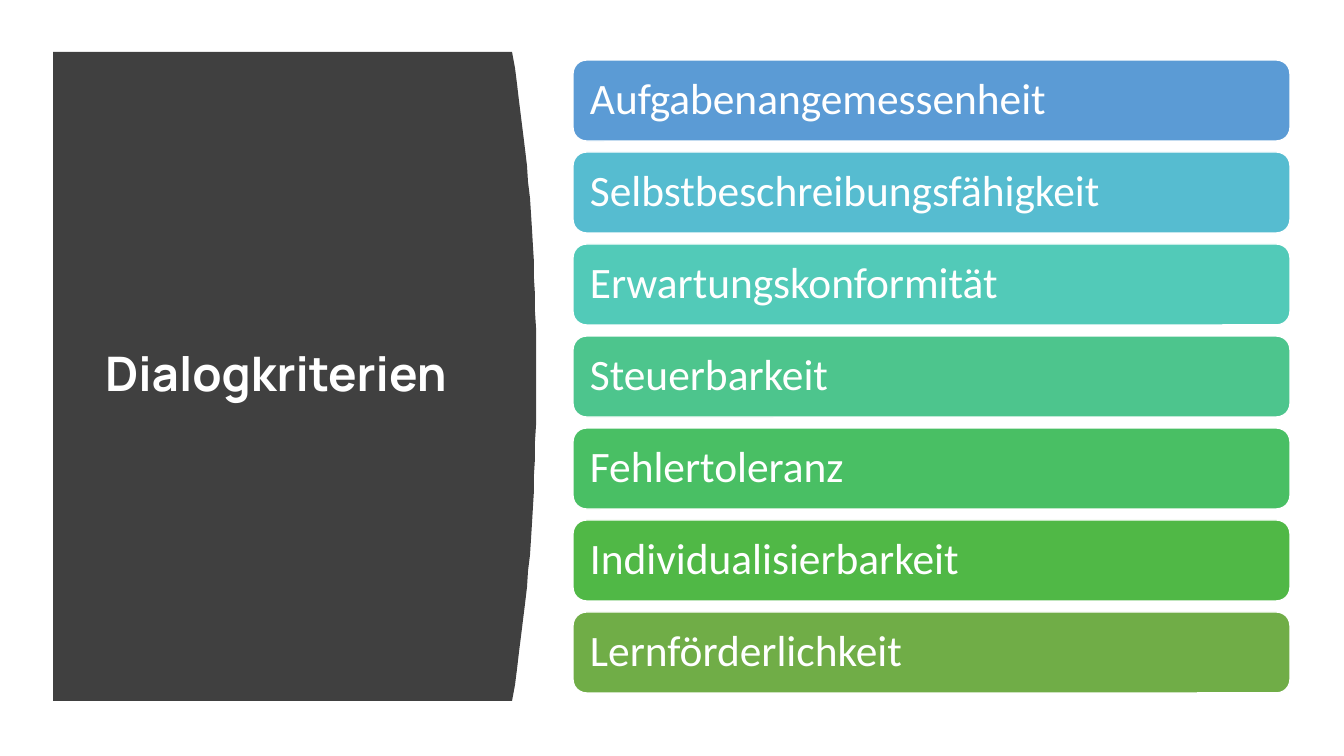
from dataclasses import dataclass

from pptx import Presentation
from pptx.dml.color import RGBColor
from pptx.enum.shapes import MSO_SHAPE as Shape
from pptx.enum.text import MSO_ANCHOR as Anchor, PP_ALIGN as Align
from pptx.util import Pt

EMU_PER_PX = 914400 / 100.8


@dataclass(frozen=True)
class Theme:
    panel: str = "404040"
    light: str = "FFFFFF"
    title_font: str = "Manrope"
    title_size: int = 34
    body_font: str = "Calibri"
    body_size: int = 31
    line_spacing: float = 0.9


THEME = Theme()

CRITERIA = [
    ("Aufgabenangemessenheit", "5B9BD5"),
    ("Selbstbeschreibungsfähigkeit", "56BCD0"),
    ("Erwartungskonformität", "52CAB8"),
    ("Steuerbarkeit", "4DC58D"),
    ("Fehlertoleranz", "49BF64"),
    ("Individualisierbarkeit", "50B846"),
    ("Lernförderlichkeit", "70AD47"),
]


def px(length):
    return round(length * EMU_PER_PX)


def rgb(color):
    return RGBColor.from_string(color)


def set_text(shape, text, font_name, size, bold=False):
    frame = shape.text_frame
    frame.word_wrap = True
    frame.vertical_anchor = Anchor.MIDDLE
    frame.text = text
    paragraph = frame.paragraphs[0]
    paragraph.alignment = Align.LEFT
    paragraph.line_spacing = THEME.line_spacing
    font = paragraph.font
    font.name, font.size, font.bold = font_name, Pt(size), bold
    font.color.rgb = rgb(THEME.light)


def add_title_panel(slide, text, left, top, width, height):
    """Dark panel with a bulging right edge, and the slide title on it."""
    bulge, steps = 24, 40
    middle = height / 2

    # Right edge, from the top corner to the bottom corner
    edge = []
    for step in range(steps + 1):
        y = height * step / steps
        drop = bulge * abs(y / middle - 1) ** 2.2
        edge.append((left + width - drop, top + y))

    builder = slide.shapes.build_freeform(left, top, scale=EMU_PER_PX)
    builder.add_line_segments(edge + [(left, top + height)], close=True)
    panel = builder.convert_to_shape()
    panel.shadow.inherit = False
    panel.fill.solid()
    panel.fill.fore_color.rgb = rgb(THEME.panel)
    panel.line.fill.background()

    # Title, in front of the panel
    title = slide.shapes.title
    title.element.addprevious(panel.element)
    title.left, title.top = px(left + 42), px(top + 60)
    title.width, title.height = px(width - 106), px(height - 121)
    set_text(title, text, THEME.title_font, THEME.title_size, bold=True)


def add_criteria(slide, criteria, left, top, width, height):
    """Stack of equal rounded bars, one for each criterion."""
    gap, inset = 11, px(13)
    bar_height = (height - gap * (len(criteria) - 1)) / len(criteria)
    for index, (text, color) in enumerate(criteria):
        bar_top = top + index * (bar_height + gap)
        bar = slide.shapes.add_shape(
            Shape.ROUNDED_RECTANGLE,
            px(left), px(bar_top), px(width), px(bar_height))
        bar.shadow.inherit = False
        bar.fill.solid()
        bar.fill.fore_color.rgb = rgb(color)
        bar.line.color.rgb = rgb(THEME.light)
        bar.line.width = Pt(1)
        frame = bar.text_frame
        frame.margin_left = frame.margin_right = inset
        frame.margin_top = frame.margin_bottom = inset
        set_text(bar, text, THEME.body_font, THEME.body_size)


def main():
    presentation = Presentation()
    presentation.slide_width, presentation.slide_height = px(1344), px(756)
    title_only = presentation.slide_layouts[5]
    slide = presentation.slides.add_slide(title_only)
    add_title_panel(slide, "Dialogkriterien", 53, 52, 483, 649)
    add_criteria(slide, CRITERIA, 573, 60, 717, 633)
    presentation.save("out.pptx")


if __name__ == "__main__":
    main()
